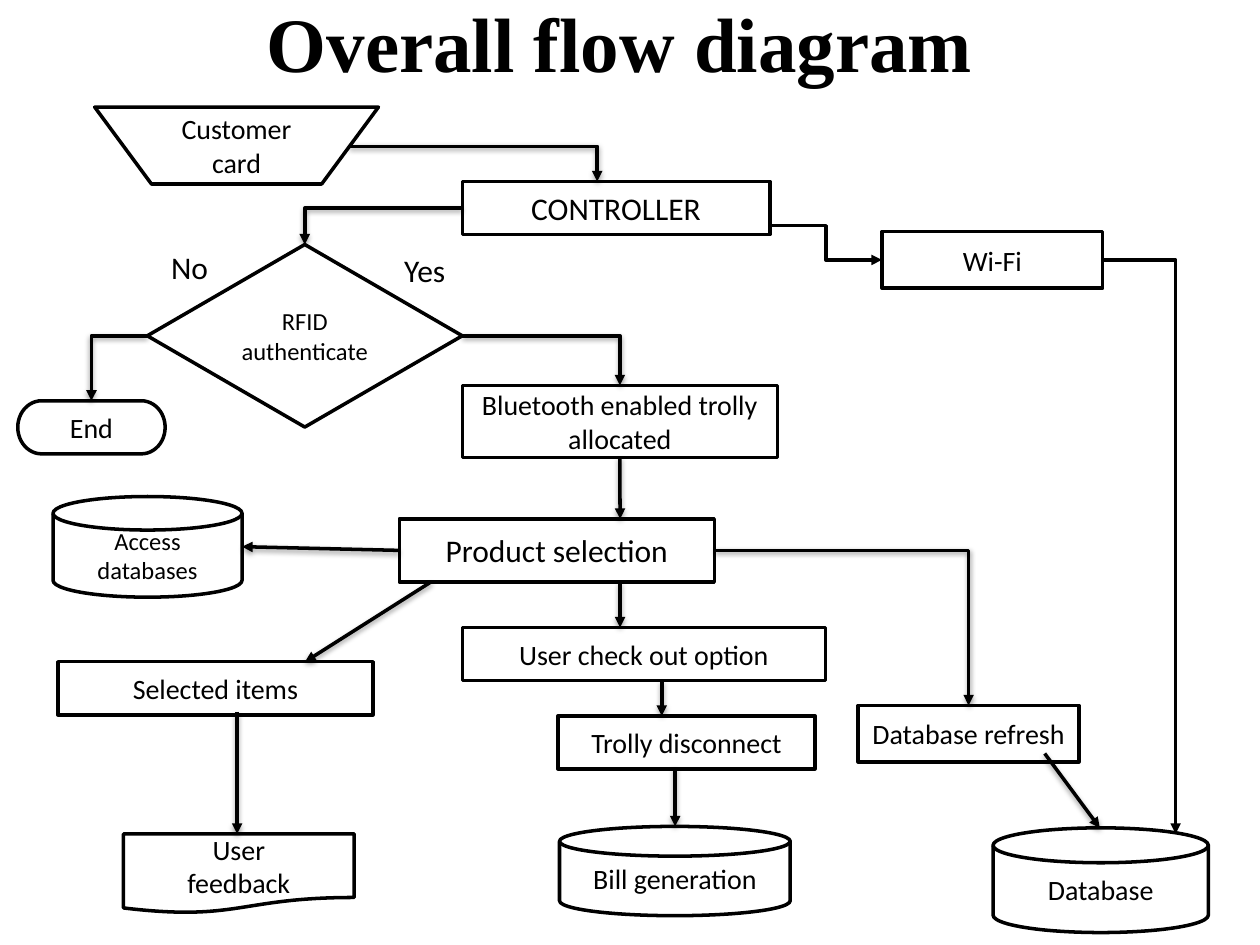
"""Build the overall flow diagram slide of a smart trolley system."""
from lxml.etree import SubElement
from pptx import Presentation
from pptx.dml.color import RGBColor
from pptx.enum.shapes import MSO_CONNECTOR, MSO_SHAPE
from pptx.enum.text import MSO_ANCHOR, PP_ALIGN
from pptx.oxml.ns import qn
from pptx.util import Cm, Pt

BLACK, WHITE = "000000", "FFFFFF"
TOP, LEFT, BOTTOM, RIGHT = range(4)
PROCESS = MSO_SHAPE.FLOWCHART_PROCESS
DISK = MSO_SHAPE.FLOWCHART_MAGNETIC_DISK

NODES = {
    "card": (MSO_SHAPE.FLOWCHART_MANUAL_OPERATION, (1.91, 2.16, 5.72, 1.55), 16, ["Customer card"]),
    "controller": (PROCESS, (9.32, 3.66, 6.2, 1.07), 18, ["CONTROLLER"]),
    "check": (MSO_SHAPE.FLOWCHART_DECISION, (2.97, 4.93, 6.35, 3.68), 14, ["RFID authenticate"]),
    "end": (MSO_SHAPE.FLOWCHART_TERMINATOR, (0.36, 8.08, 2.97, 1.07), 16, ["End"]),
    "trolly": (PROCESS, (9.32, 7.77, 6.35, 1.45), 16, ["Bluetooth enabled trolly allocated"]),
    "access": (DISK, (1.07, 10.01, 3.81, 2.03), 14, ["Access databases"]),
    "product": (PROCESS, (8.05, 10.46, 6.35, 1.27), 18, ["Product selection"]),
    "selected": (PROCESS, (1.17, 13.34, 6.35, 1.07), 16, ["Selected items"]),
    "checkout": (PROCESS, (9.32, 12.65, 7.32, 1.07), 16, ["User check out option"]),
    "disconnect": (PROCESS, (11.25, 14.43, 5.18, 1.07), 16, ["Trolly disconnect"]),
    "database": (DISK, (20.02, 16.69, 4.34, 2.11), 16, ["Database"]),
    "bill": (DISK, (11.28, 16.66, 4.65, 1.8), 16, ["Bill generation"]),
    "feedback": (MSO_SHAPE.FLOWCHART_DOCUMENT, (2.49, 16.81, 4.65, 1.6), 16, ["User", "feedback"]),
    "wifi": (PROCESS, (17.78, 4.67, 4.45, 1.14), 16, ["Wi-Fi"]),
    "refresh": (PROCESS, (17.3, 14.22, 4.45, 1.14), 16, ["Database refresh"]),
}
LABELS = [("No", (3.2, 4.88, 1.35, 1.02)), ("Yes", (7.9, 4.93, 1.55, 1.02))]
TITLE = ("Overall flow diagram", (4.78, -0.1, 15.44, 1.9))

STRAIGHT, CORNER, STEP = "line", "bentConnector2", "bentConnector3"
FLOWS = [
    (CORNER, (7.04, 2.95), (12.04, 3.66), True),
    (CORNER, ("controller", LEFT), ("check", TOP), True),
    (CORNER, ("check", RIGHT), ("trolly", TOP), True),
    (CORNER, ("check", LEFT), ("end", TOP), True),
    (STRAIGHT, ("trolly", BOTTOM), (12.5, 10.46), True),
    (STRAIGHT, ("product", LEFT), (4.88, 11.02), True),
    (STRAIGHT, (12.5, 11.73), (12.5, 12.65), True),
    (STRAIGHT, (8.69, 11.73), (6.15, 13.34), True),
    (STRAIGHT, (13.34, 13.72), (13.34, 14.43), True),
    (CORNER, ("product", RIGHT), ("refresh", TOP), True),
    (STRAIGHT, (4.78, 14.35), (4.78, 16.81), True),
    (STRAIGHT, (21.06, 15.19), (22.17, 16.69), True),
    (STEP, (15.52, 4.55), ("wifi", LEFT), False),
    (CORNER, ("wifi", RIGHT), (23.7, 16.81), False),
    (STRAIGHT, (13.61, 15.47), (13.61, 16.66), True),
]


def color(value):
    return RGBColor.from_string(value)


def write(shape, lines, size, font="Calibri", bold=False, align=PP_ALIGN.CENTER, anchor=MSO_ANCHOR.MIDDLE):
    frame = shape.text_frame
    frame.word_wrap = True
    frame.vertical_anchor = anchor
    for index, line in enumerate(lines):
        para = frame.add_paragraph() if index else frame.paragraphs[0]
        para.alignment = align
        span = para.add_run()
        span.text = line
        span.font.name, span.font.size, span.font.bold = font, Pt(size), bold
        span.font.color.rgb = color(BLACK)


def draw_outline(shape):
    shape.line.color.rgb = color(BLACK)
    shape.line.width = Pt(2)


def add_node(page, kind, place, size, lines):
    box = page.shapes.add_shape(kind, *map(Cm, place))
    box.shadow.inherit = False
    box.fill.solid()
    box.fill.fore_color.rgb = color(WHITE)
    draw_outline(box)
    write(box, lines, size)
    return box


def locate(end):
    if not isinstance(end[0], str):
        return end
    left, top, width, height = NODES[end[0]][1]
    across, down = {TOP: (0.5, 0), LEFT: (0, 0.5), BOTTOM: (0.5, 1), RIGHT: (1, 0.5)}[end[1]]
    return left + width * across, top + height * down


def add_flow(page, boxes, route, start, finish, shadowed):
    kind = MSO_CONNECTOR.STRAIGHT if route == STRAIGHT else MSO_CONNECTOR.ELBOW
    arrow = page.shapes.add_connector(kind, *map(Cm, locate(start) + locate(finish)))
    for end, connect in ((start, arrow.begin_connect), (finish, arrow.end_connect)):
        if isinstance(end[0], str):
            connect(boxes[end[0]], end[1])
    draw_outline(arrow)
    properties = arrow.element.spPr
    properties.find(qn("a:prstGeom")).set("prst", route)
    SubElement(properties.find(qn("a:ln")), qn("a:tailEnd"), type="triangle")
    effects = SubElement(properties, qn("a:effectLst"))
    if shadowed:
        shadow = SubElement(effects, qn("a:outerShdw"), blurRad=str(Pt(3.1)), dist=str(Pt(1.6)),
                            dir="5400000", rotWithShape="0")
        tint = SubElement(shadow, qn("a:srgbClr"), val=BLACK)
        SubElement(tint, qn("a:alpha"), val="38000")


def main():
    deck = Presentation()
    deck.slide_width, deck.slide_height = Cm(25.4), Cm(19.05)
    page = deck.slides.add_slide(deck.slide_layouts[6])
    text, place = TITLE
    write(page.shapes.add_textbox(*map(Cm, place)), [text], 44, "Times New Roman", True)
    boxes = {name: add_node(page, *node) for name, node in NODES.items()}
    for flow in FLOWS:
        add_flow(page, boxes, *flow)
    for text, place in LABELS:
        label = page.shapes.add_textbox(*map(Cm, place))
        write(label, [text], 18, align=PP_ALIGN.LEFT, anchor=MSO_ANCHOR.TOP)
    deck.save("out.pptx")


if __name__ == "__main__":
    main()
